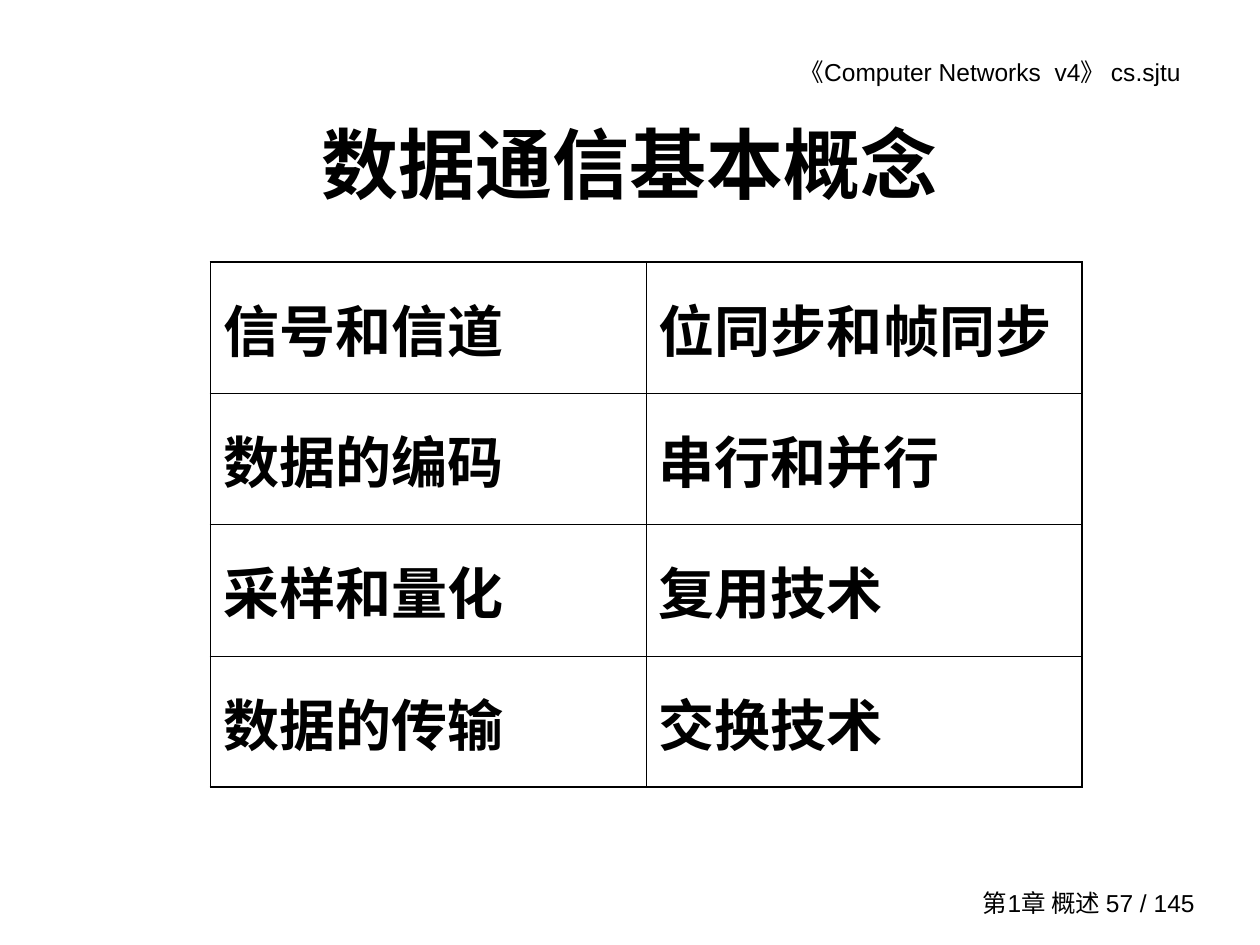
from lxml.etree import SubElement
from pptx import Presentation
from pptx.dml.color import RGBColor
from pptx.enum.text import MSO_ANCHOR, MSO_AUTO_SIZE, PP_ALIGN
from pptx.oxml.ns import qn
from pptx.util import Inches, Pt

TITLE = "数据通信基本概念"
TOPICS = [
    ("信号和信道", "位同步和帧同步"),
    ("数据的编码", "串行和并行"),
    ("采样和量化", "复用技术"),
    ("数据的传输", "交换技术"),
]
# text, (left, top, width, height), right inset, anchor
MARGINALIA = [
    ("《Computer Networks  v4》 cs.sjtu", (5.35, 0.4, 4.23, 0.34), 0.21, MSO_ANCHOR.TOP),
    ("第1章 概述 57 / 145", (7.5, 7, 2.08, 0.33), 0.1, MSO_ANCHOR.MIDDLE),
]
TITLE_BOX = (0.75, 0.96, 8.5, 0.67)
TABLE_BOX = (1.67, 2.08, 6.92, 4.17)
INK, PAPER = "000000", "FFFFFF"
OUTER_LINE, INNER_LINE = 1.08, 0.45

SMALL = {"name": "Arial", "size": Pt(14), "bold": False}
HEADING = {"name": "Arial", "size": Pt(44), "bold": True}
TOPIC = {"name": "Arial", "size": Pt(32), "bold": True}


def color(hex_value):
    return RGBColor.from_string(hex_value)


def write(frame, text, font_format, align):
    frame.text = text
    paragraph = frame.paragraphs[0]
    paragraph.alignment = align
    font = paragraph.runs[0].font
    for name, value in font_format.items():
        setattr(font, name, value)
    font.color.rgb = color(INK)


def set_borders(cell, widths):
    """Draw cell borders from a dict of side letter to points, in L, R, T, B order."""
    properties = cell._tc.get_or_add_tcPr()
    for index, (side, width) in enumerate(widths.items()):
        line = SubElement(properties, qn(f"a:ln{side}"), w=str(Pt(width)))
        fill = SubElement(line, qn("a:solidFill"))
        SubElement(fill, qn("a:srgbClr"), val=INK)
        properties.insert(index, line)


def add_topics(slide):
    row_count, column_count = len(TOPICS), len(TOPICS[0])
    table = slide.shapes.add_table(row_count, column_count, *map(Inches, TABLE_BOX)).table
    table.first_row = table.horz_banding = False
    for r, row in enumerate(TOPICS):
        for c, topic in enumerate(row):
            cell = table.cell(r, c)
            cell.vertical_anchor = MSO_ANCHOR.MIDDLE
            cell.fill.solid()
            cell.fill.fore_color.rgb = color(PAPER)
            write(cell.text_frame, topic, TOPIC, PP_ALIGN.LEFT)
            on_edge = {"L": c == 0, "R": c == column_count - 1,
                       "T": r == 0, "B": r == row_count - 1}
            set_borders(cell, {side: OUTER_LINE if edge else INNER_LINE
                               for side, edge in on_edge.items()})


def main():
    deck = Presentation()
    deck.slide_width, deck.slide_height = Inches(10), Inches(7.5)
    slide = deck.slides.add_slide(deck.slide_layouts[5])

    title = slide.shapes.title
    title.left, title.top, title.width, title.height = map(Inches, TITLE_BOX)
    title.text_frame.auto_size = MSO_AUTO_SIZE.NONE
    title.text_frame.vertical_anchor = MSO_ANCHOR.MIDDLE
    write(title.text_frame, TITLE, HEADING, PP_ALIGN.CENTER)

    for text, box, right_inset, anchor in MARGINALIA:
        frame = slide.shapes.add_textbox(*map(Inches, box)).text_frame
        frame.word_wrap = True
        frame.margin_right = Inches(right_inset)
        frame.vertical_anchor = anchor
        write(frame, text, SMALL, PP_ALIGN.RIGHT)

    add_topics(slide)
    deck.save("out.pptx")


if __name__ == "__main__":
    main()
